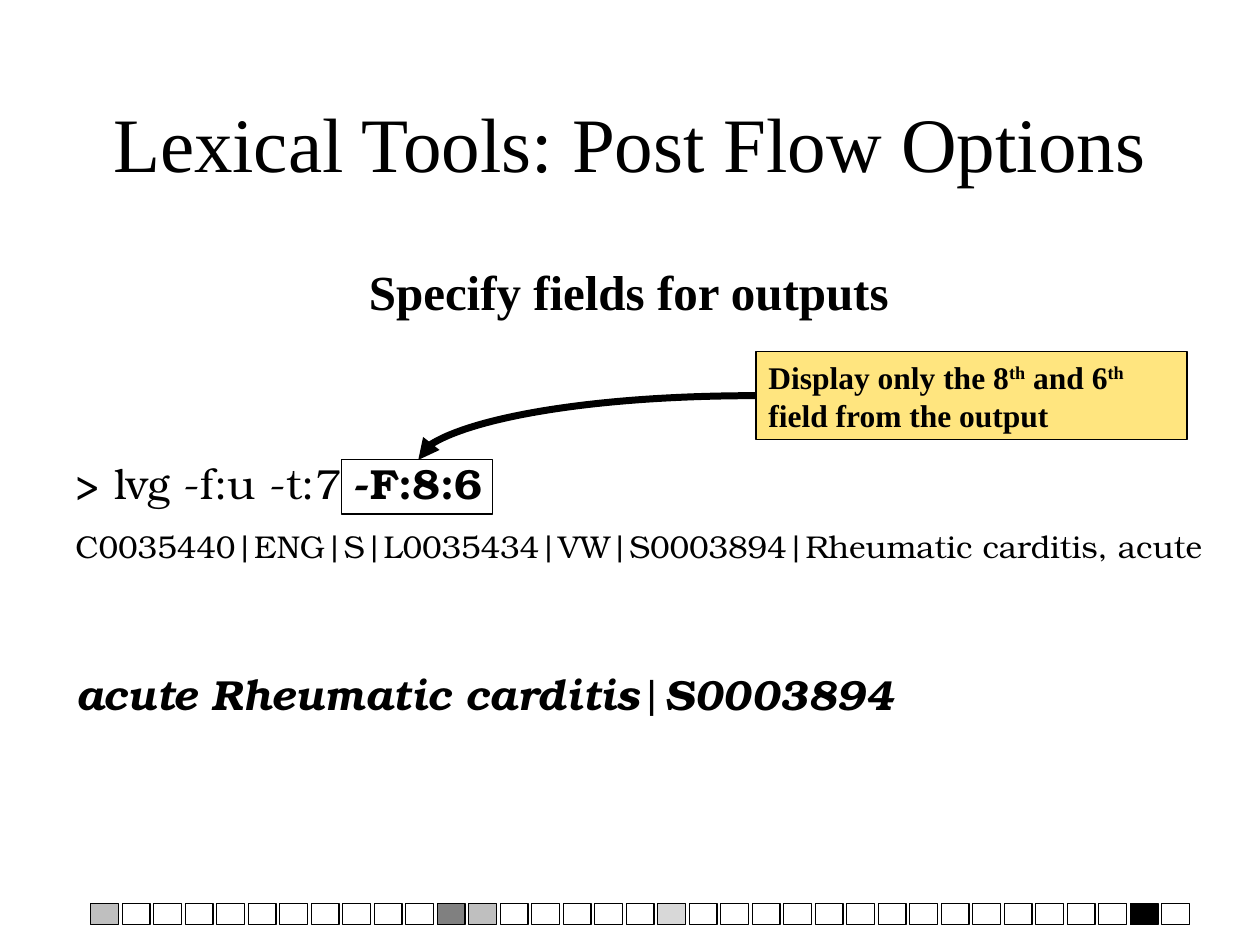
from lxml.etree import SubElement
from pptx import Presentation
from pptx.dml.color import RGBColor
from pptx.enum.shapes import MSO_CONNECTOR, MSO_SHAPE
from pptx.enum.text import MSO_ANCHOR, PP_ALIGN
from pptx.oxml.ns import qn
from pptx.util import Pt

SCALE = 9144  # 100 px to the inch
COLORS = {"ink": "000000", "gray": "808080", "silver": "B2B2B2", "gold": "FFCC00"}
SERIF, BOOK = "Times New Roman", "TeX Gyre Bonum"


def px(*sizes):
    return [size * SCALE for size in sizes]


def color(name):
    return RGBColor.from_string(COLORS[name])


def add_box(slide, box, fill=None, alpha=100):
    """Add a thinly outlined rectangle; alpha is the opacity in percent."""
    shape = slide.shapes.add_shape(MSO_SHAPE.RECTANGLE, *px(*box))
    shape.shadow.inherit = False
    shape.line.color.rgb = color("ink")
    shape.line.width = Pt(0.75)
    if fill is None:
        shape.fill.background()
        return shape
    shape.fill.solid()
    shape.fill.fore_color.rgb = color(fill)
    if alpha < 100:
        tone = shape.fill._xPr.find(".//" + qn("a:srgbClr"))
        SubElement(tone, qn("a:alpha")).set("val", str(alpha * 1000))
    return shape


def add_text(frame, runs, font=SERIF, size=18, bold=False, align=PP_ALIGN.LEFT,
             before=0, more=False):
    """Write one paragraph of (text, format) runs; more starts a new paragraph."""
    para = frame.add_paragraph() if more else frame.paragraphs[0]
    para.alignment = align
    if before:
        para.space_before = Pt(before)
    for words, style in runs:
        run = para.add_run()
        run.text = words
        run.font.name = font
        run.font.size = Pt(size)
        run.font.color.rgb = color("ink")
        run.font.bold = bold or "b" in style
        run.font.italic = "i" in style
        if "^" in style:
            run.font._element.set("baseline", "30000")


def add_frame(slide, box, wrap=True, anchor=MSO_ANCHOR.TOP):
    frame = slide.shapes.add_textbox(*px(*box)).text_frame
    frame.word_wrap = wrap
    frame.vertical_anchor = anchor
    return frame


def add_strip(slide, box, count=35, gap=3):
    """Fill the box with a row of equal cells, a few of them shaded."""
    shades = {0: ("gray", 50), 11: ("gray", 100), 12: ("gray", 50),
              18: ("silver", 50), 33: ("ink", 100)}
    left, top, width, height = box
    step = (width + gap) // count
    for i in range(count):
        cell = (left + i * step, top, step - gap, height)
        add_box(slide, cell, *shades.get(i, ()))


def add_heads(slide, box):
    left, top, width, height = box
    title = add_frame(slide, (left, top, width, 125), anchor=MSO_ANCHOR.MIDDLE)
    add_text(title, [("Lexical Tools: Post Flow Options", "")], size=44,
             align=PP_ALIGN.CENTER)
    lead = add_frame(slide, (left + 208, top + height - 57, 433, 57), wrap=False)
    add_text(lead, [("Specify fields for outputs", "")], size=28, bold=True)


def add_sample(slide, box):
    """Show the command, its input and its output, with the option framed."""
    left, top = box[:2]
    frame = add_frame(slide, box)
    add_text(frame, [("> lvg -f:u -t:7 ", ""), ("-F:8:6", "b")], BOOK, 24)
    add_text(frame, [("C0035440|ENG|S|L0035434|VW|S0003894|Rheumatic carditis, acute", "")],
             BOOK, 18, before=11.2, more=True)
    add_text(frame, [("acute Rheumatic carditis", "bi"), ("|", ""), ("S0003894", "bi")],
             BOOK, 24, before=59, more=True)
    add_box(slide, (left + 221, top + 7, 120, 43))


def add_arrow(slide, start, end):
    """Draw a quarter curve that leaves level and lands upright."""
    arrow = slide.shapes.add_connector(MSO_CONNECTOR.CURVE, *px(*start, *end))
    arrow.line.color.rgb = color("ink")
    arrow.line.width = Pt(4)
    props = arrow._element.spPr
    props.find(qn("a:prstGeom")).set("prst", "curvedConnector2")
    SubElement(arrow.line._get_or_add_ln(), qn("a:tailEnd")).set("type", "triangle")
    SubElement(props, qn("a:effectLst"))


def add_note(slide, box, target):
    left, top, width, height = box
    add_arrow(slide, (left, top + height // 2), target)
    frame = add_box(slide, box, "gold", 50).text_frame
    frame.word_wrap = True
    frame.vertical_anchor = MSO_ANCHOR.TOP
    add_text(frame, [("Display only the 8", ""), ("th", "^"), (" and 6", ""),
                     ("th", "^"), (" field from the output", "")], bold=True)


def main():
    deck = Presentation()
    deck.slide_width, deck.slide_height = px(1000, 750)
    slide = deck.slides.add_slide(deck.slide_layouts[6])
    add_strip(slide, (72, 717, 872, 17))
    add_heads(slide, (75, 50, 850, 210))
    add_sample(slide, (50, 358, 925, 278))
    add_note(slide, (600, 279, 342, 70), target=(332, 365))
    deck.save("out.pptx")


if __name__ == "__main__":
    main()
